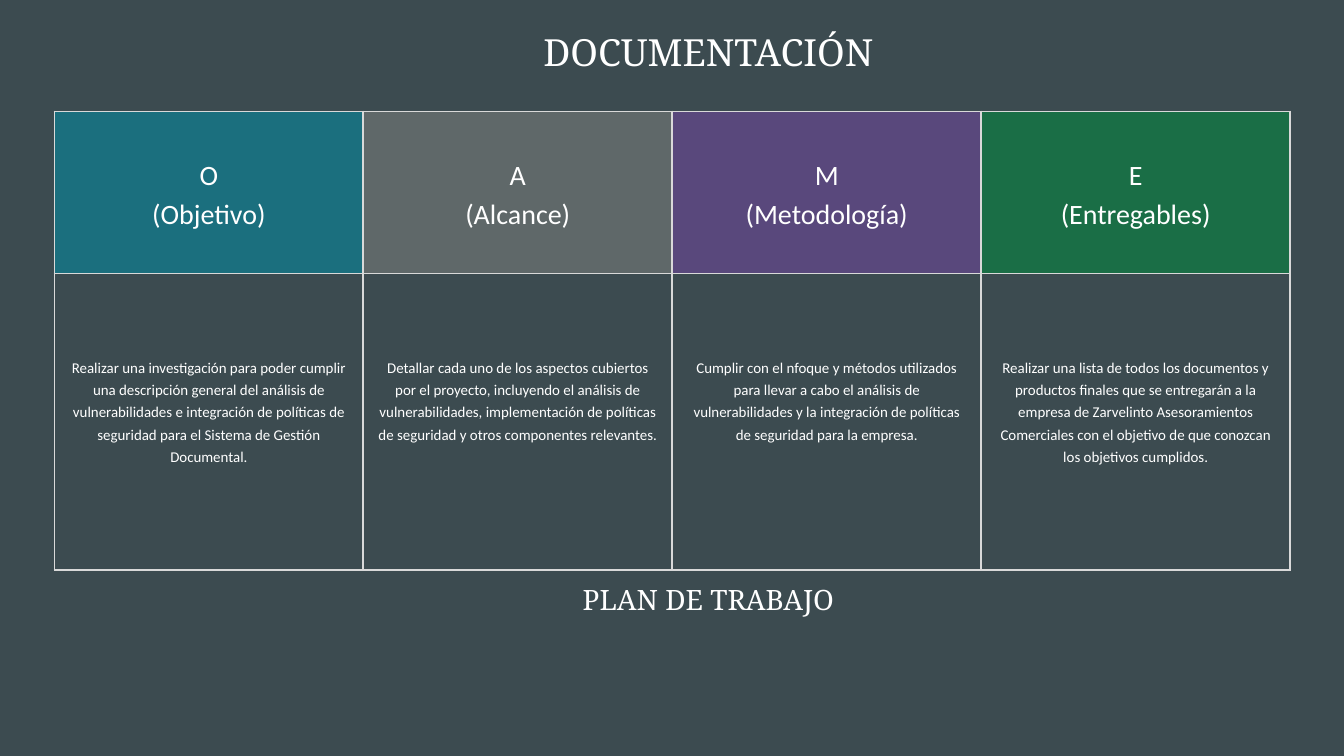
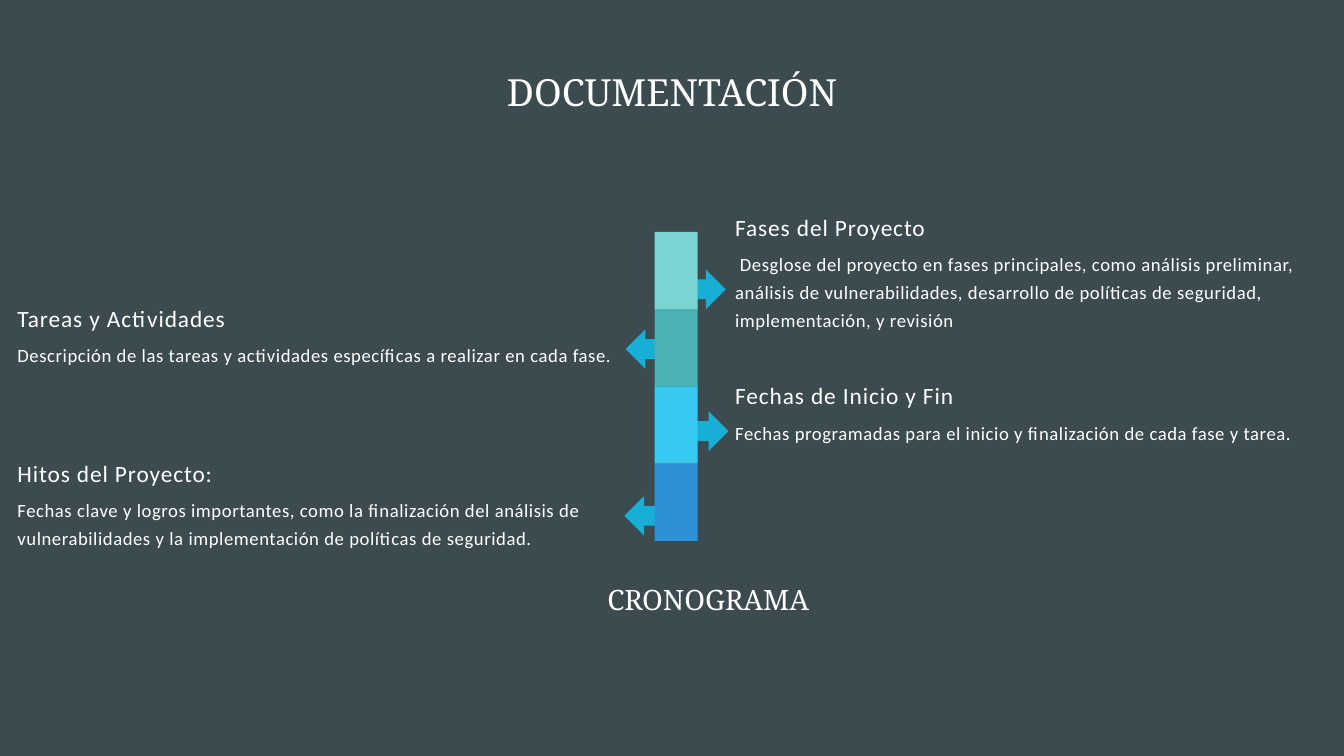
from pptx import Presentation
from pptx import util as u
from pptx.dml.color import RGBColor
from pptx.enum import shapes, text
from pptx.oxml import parse_xml
from pptx.oxml.ns import nsdecls

BACKGROUND = RGBColor(0x3C, 0x4B, 0x50)
WHITE = RGBColor(0xFF, 0xFF, 0xFF)
ARROW = RGBColor(0x18, 0xAF, 0xD6)
BORDER = "D9D9D9"
TITLE_FONT, BODY_FONT = "Noto Serif", "Calibri"
LEFT, CENTER, JUSTIFY = text.PP_ALIGN.LEFT, text.PP_ALIGN.CENTER, text.PP_ALIGN.JUSTIFY

TITLE = "DOCUMENTACIÓN"

PLAN = [
    ("O", "(Objetivo)", RGBColor(0x1B, 0x6F, 0x7E),
     "Realizar una investigación para poder cumplir una descripción general del análisis de "
     "vulnerabilidades e integración de políticas de seguridad para el Sistema de Gestión Documental."),
    ("A", "(Alcance)", RGBColor(0x5F, 0x68, 0x69),
     "Detallar cada uno de los aspectos cubiertos por el proyecto, incluyendo el análisis de "
     "vulnerabilidades, implementación de políticas de seguridad y otros componentes relevantes."),
    ("M", "(Metodología)", RGBColor(0x59, 0x48, 0x7C),
     "Cumplir con el nfoque y métodos utilizados para llevar a cabo el análisis de "
     "vulnerabilidades y la integración de políticas de seguridad para la empresa."),
    ("E", "(Entregables)", RGBColor(0x1A, 0x6E, 0x46),
     "Realizar una lista de todos los documentos y productos finales que se entregarán a la "
     "empresa de Zarvelinto Asesoramientos Comerciales con el objetivo de que conozcan los "
     "objetivos cumplidos."),
]

STAGES = [
    ("Fases del Proyecto",
     " Desglose del proyecto en fases principales, como análisis preliminar, análisis de "
     "vulnerabilidades, desarrollo de políticas de seguridad, implementación, y revisión",
     RGBColor(0x7C, 0xD4, 0xD2), (10.21, 4.01), (10.94, 3.1, 8.8), LEFT),
    ("Tareas y Actividades",
     "Descripción de las tareas y actividades específicas a realizar en cada fase.",
     RGBColor(0x4A, 0xB1, 0xB4), (9.31, 4.9), (0.26, 4.46, 9.03), JUSTIFY),
    ("Fechas de Inicio y Fin",
     "Fechas programadas para el inicio y finalización de cada fase y tarea.",
     RGBColor(0x37, 0xC9, 0xEF), (10.25, 6.12), (10.94, 5.61, 8.63), LEFT),
    ("Hitos del Proyecto:",
     "Fechas clave y logros importantes, como la finalización del análisis de "
     "vulnerabilidades y la implementación de políticas de seguridad.",
     RGBColor(0x2C, 0x92, 0xD5), (9.29, 7.38), (0.26, 6.76, 9.03), LEFT),
]

BAR_LEFT, BAR_TOP, BAR_WIDTH, BAR_HEIGHT = 9.74, 3.45, 0.64, 1.15
ARROW_SIZE = 0.59
BODY_OFFSET = 0.58


def write(tf, lines, size, spacing, font=BODY_FONT, align=CENTER, tracking=0):
    for i, line in enumerate(lines):
        p = tf.add_paragraph() if i else tf.paragraphs[0]
        p.alignment = align
        p.line_spacing = u.Pt(spacing)
        r = p.add_run()
        r.text = line
        r.font.name = font
        r.font.size = u.Pt(size)
        r.font.color.rgb = WHITE
        if tracking:
            r._r.get_or_add_rPr().set("spc", str(tracking))


def add_text(s, box, line, size, spacing, **style):
    tf = s.shapes.add_textbox(*map(u.Inches, box)).text_frame
    tf.margin_left = tf.margin_right = tf.margin_top = tf.margin_bottom = 0
    tf.word_wrap = True
    tf.auto_size = text.MSO_AUTO_SIZE.SHAPE_TO_FIT_TEXT
    write(tf, [line], size, spacing, **style)


def add_block(s, kind, box, color):
    sp = s.shapes.add_shape(kind, *map(u.Inches, box))
    sp.shadow.inherit = False
    sp.fill.solid()
    sp.fill.fore_color.rgb = color
    sp.line.fill.background()


def add_slide(prs, title_left, title_top, subtitle):
    s = prs.slides.add_slide(prs.slide_layouts[6])
    s.background.fill.solid()
    s.background.fill.fore_color.rgb = BACKGROUND
    add_text(s, (title_left, title_top, 10.14, 0.74), TITLE, 40, 56, font=TITLE_FONT)
    add_text(s, (5.47, 8.58, 10.14, 0.56), subtitle, 30, 42, font=TITLE_FONT)
    return s


def style_cell(cell, color=None, top=0.21):
    cell.margin_left = cell.margin_right = cell.margin_bottom = u.Inches(0.21)
    cell.margin_top = u.Inches(top)
    if color is None:
        cell.fill.background()
    else:
        cell.fill.solid()
        cell.fill.fore_color.rgb = color
    tcPr = cell._tc.get_or_add_tcPr()
    for i, side in enumerate("LRTB"):
        tcPr.insert(i, parse_xml(
            f'<a:ln{side} {nsdecls("a")} w="{u.Pt(2.25)}"><a:solidFill>'
            f'<a:srgbClr val="{BORDER}"/></a:solidFill></a:ln{side}>'))


def add_plan_table(s):
    table = s.shapes.add_table(2, len(PLAN), *map(u.Inches, (0.81, 1.66, 18.39, 6.82))).table
    table.first_row = table.horz_banding = False
    table.rows[0].height, table.rows[1].height = u.Inches(2.41), u.Inches(4.41)
    for col, (letter, name, color, detail) in enumerate(PLAN):
        head, body = table.cell(0, col), table.cell(1, col)
        style_cell(head, color)
        head.vertical_anchor = text.MSO_ANCHOR.MIDDLE
        write(head.text_frame, [letter, name], 30, 42)
        style_cell(body, top=1.21)
        write(body.text_frame, [detail], 16, 24)


def add_timeline(s):
    kinds = shapes.MSO_SHAPE
    for i, (heading, body, color, arrow, (left, top, width), align) in enumerate(STAGES):
        kind = kinds.LEFT_ARROW if i % 2 else kinds.RIGHT_ARROW
        add_block(s, kind, (*arrow, ARROW_SIZE, ARROW_SIZE), ARROW)
        add_block(s, kinds.RECTANGLE,
                  (BAR_LEFT, BAR_TOP + i * BAR_HEIGHT, BAR_WIDTH, BAR_HEIGHT), color)
        add_text(s, (left, top, width, 0.45), heading, 25, 35, align=align, tracking=100)
        add_text(s, (left, top + BODY_OFFSET, width, 0.8), body, 20, 30, align=align, tracking=60)


def main():
    prs = Presentation()
    prs.slide_width, prs.slide_height = u.Inches(20), u.Inches(11.25)
    add_plan_table(add_slide(prs, 5.47, 0.32, "PLAN DE TRABAJO"))
    add_timeline(add_slide(prs, 4.93, 0.92, "CRONOGRAMA"))
    prs.save("out.pptx")


if __name__ == "__main__":
    main()
